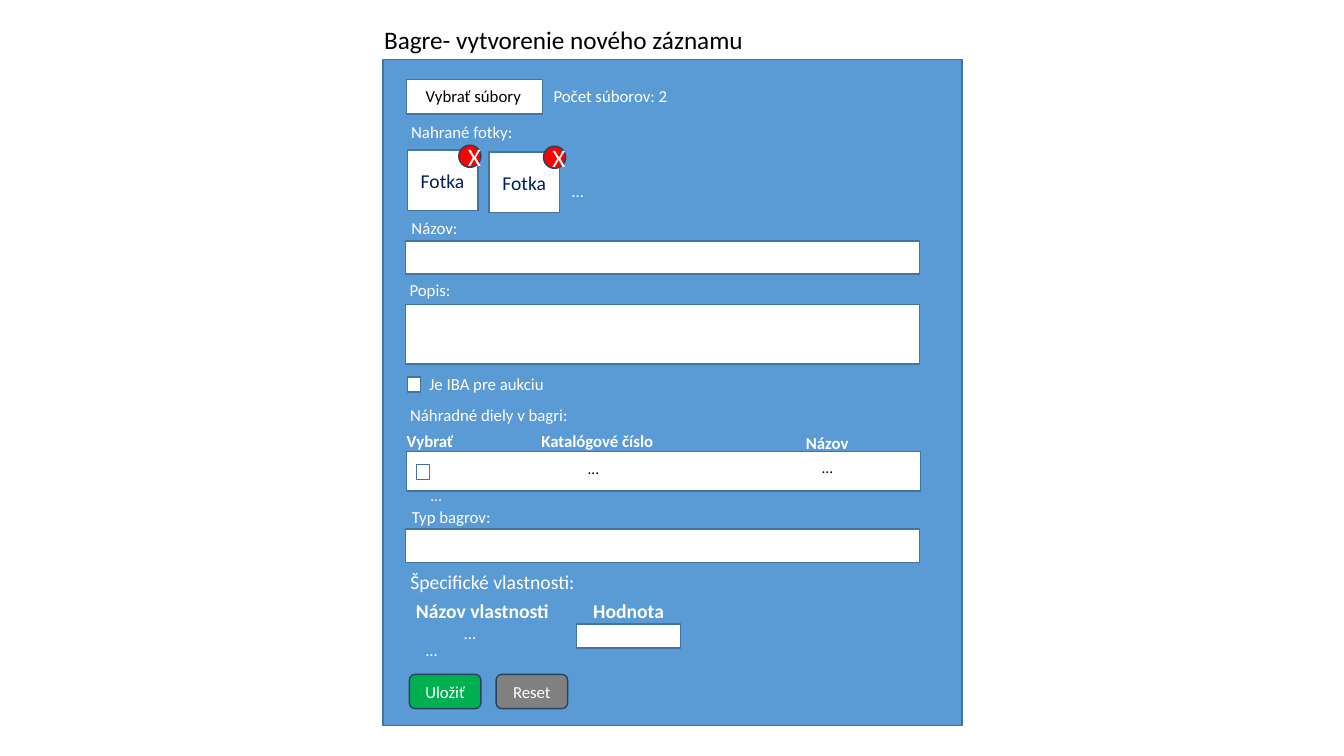
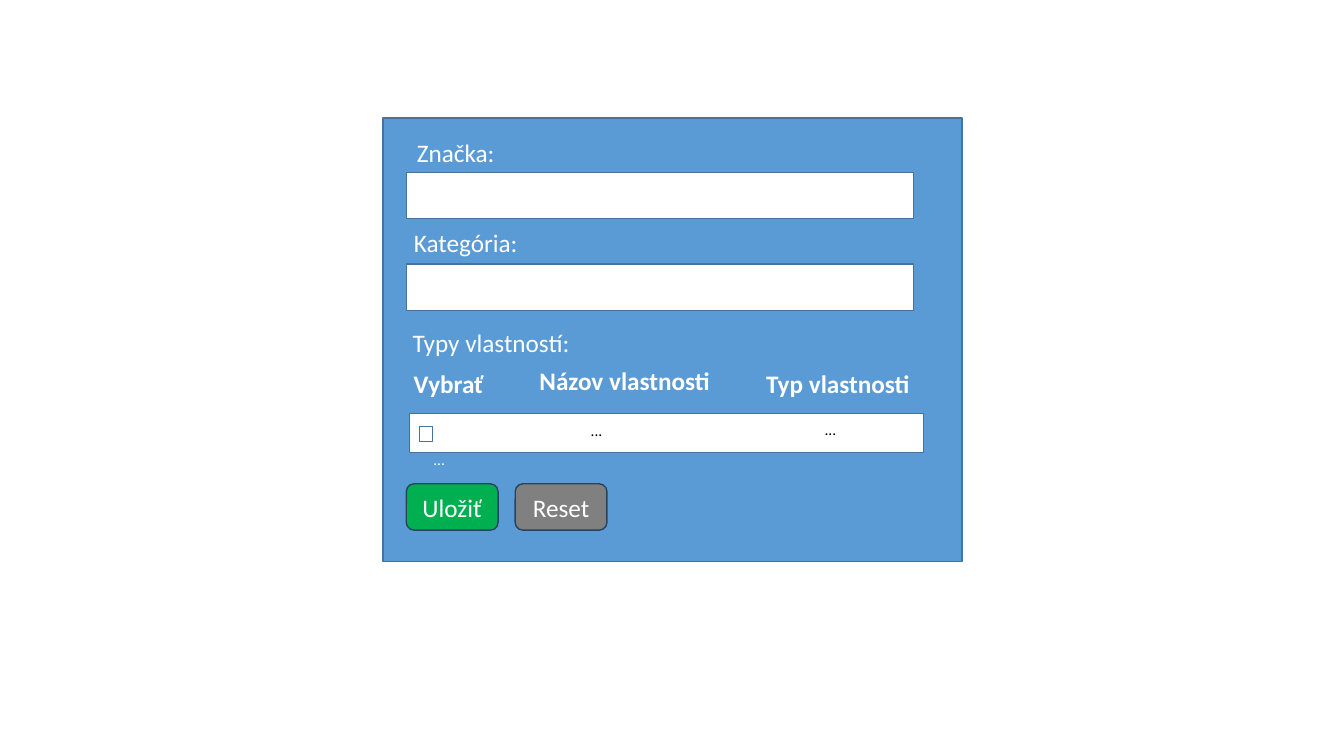
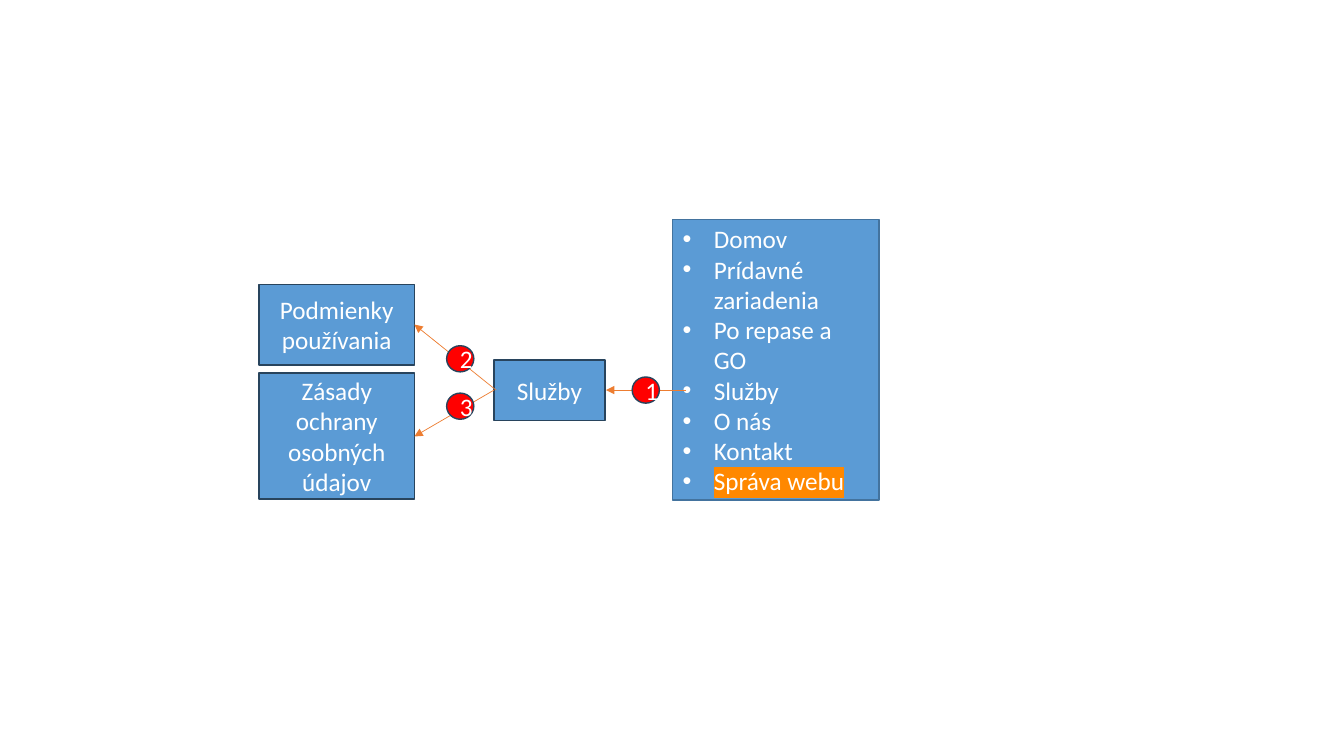
from lxml import etree
from pptx import Presentation
from pptx.dml import color
from pptx.enum import shapes, text
from pptx.oxml import ns
from pptx.util import Pt

COLORS = {
    "blue": "5B9BD5", "edge": "43739E", "dark": "28445D", "white": "FFFFFF",
    "black": "000000", "navy": "002060", "green": "00B050", "gray": "808080",
    "red": "FF0000", "orange": "ED7D31", "highlight": "FF8800",
}
SCALE = 9144
FONT = "Calibri"
LABEL_HEIGHTS = {11: 29, 12: 30, 14: 34, 18: 40}
FRAMES = {
    "label": {"word_wrap": False, "vertical_anchor": text.MSO_ANCHOR.TOP,
              "auto_size": text.MSO_AUTO_SIZE.SHAPE_TO_FIT_TEXT},
    "shape": {"word_wrap": True, "vertical_anchor": text.MSO_ANCHOR.MIDDLE,
              "auto_size": text.MSO_AUTO_SIZE.NONE},
}
PARAGRAPH = {"space_before": Pt(0), "space_after": Pt(0), "line_spacing": 1.0}
LEFT, CENTER = text.PP_ALIGN.LEFT, text.PP_ALIGN.CENTER
RECT = shapes.MSO_SHAPE.RECTANGLE
ROUNDED = shapes.MSO_SHAPE.ROUNDED_RECTANGLE
OVAL = shapes.MSO_SHAPE.OVAL
TITLE_ONLY, TITLE_AND_BODY, BLANK = 5, 1, 6


def assign(target, values):
    for name, value in values.items():
        setattr(target, name, value)


def px(*lengths):
    return [length * SCALE for length in lengths]


def rgb(name):
    return color.RGBColor.from_string(COLORS[name])


class Wireframe:
    """Holds the deck style and the current page, and draws each kind of element."""

    def __init__(self):
        self.deck = Presentation()
        self.deck.slide_width, self.deck.slide_height = px(1333, 750)
        self.page = None

    def new_page(self, layout):
        self.page = self.deck.slides.add_slide(self.deck.slide_layouts[layout])

    def place(self, box, area):
        assign(box, dict(zip(("left", "top", "width", "height"), px(*area))))

    def paint(self, box, fill, edge):
        box.fill.solid()
        box.fill.fore_color.rgb = rgb(fill)
        box.line.color.rgb = rgb(edge)
        box.line.width = Pt(1)

    def set_text(self, box, lines, size, ink, bold=False, align=CENTER, frame="shape"):
        assign(box.text_frame, FRAMES[frame])
        for index, line in enumerate(lines):
            para = box.text_frame.paragraphs[0] if index == 0 else box.text_frame.add_paragraph()
            assign(para, {**PARAGRAPH, "alignment": align})
            span = para.add_run()
            span.text = line
            assign(span.font, {"name": FONT, "size": Pt(size), "bold": bold})
            span.font.color.rgb = rgb(ink)

    def title(self, area, content):
        box = self.page.shapes.title
        self.place(box, area)
        self.set_text(box, [content], 18, "black", align=LEFT, frame="label")

    def bullets(self, area, items, marked):
        heading = self.page.shapes.title.element
        heading.getparent().remove(heading)
        box = self.page.placeholders[1]
        self.place(box, area)
        self.paint(box, "blue", "edge")
        self.set_text(box, items, 18, "white", align=LEFT)
        for para in box.text_frame.paragraphs:
            props = para._p.get_or_add_pPr()
            props.set("marL", str(31 * SCALE))
            props.set("indent", str(-31 * SCALE))
            etree.SubElement(props, ns.qn("a:buFont"), typeface="Arial")
            etree.SubElement(props, ns.qn("a:buChar"), char="•")
            for span in para.runs:
                if span.text == marked:
                    mark = etree.Element(ns.qn("a:highlight"))
                    etree.SubElement(mark, ns.qn("a:srgbClr"), val=COLORS["highlight"])
                    span._r.get_or_add_rPr().find(ns.qn("a:solidFill")).addnext(mark)

    def shape(self, area, fill="white", edge="edge", kind=RECT, content=None, size=18, ink="white"):
        box = self.page.shapes.add_shape(kind, *px(*area))
        box.shadow.inherit = False
        self.paint(box, fill, edge)
        if content:
            self.set_text(box, [content], size, ink)

    def label(self, left, top, width, content, size=12, ink="white", bold=False, align=CENTER):
        box = self.page.shapes.add_textbox(*px(left, top, width, LABEL_HEIGHTS[size]))
        self.set_text(box, [content], size, ink, bold, align, "label")

    def dots(self, left, top, size=12, ink="white"):
        self.label(left, top, 33, "...", size, ink, align=LEFT)

    def checkbox(self, left, top):
        self.shape((left, top, 13, 15))

    def badge(self, area, content):
        self.shape(area, "red", "dark", OVAL, content)

    def buttons(self, left, top, width, height, gap, size):
        for index, (content, fill) in enumerate((("Uložiť", "green"), ("Reset", "gray"))):
            area = (left + index * (width + gap), top, width, height)
            self.shape(area, fill, "dark", ROUNDED, content, size)

    def choice_row(self, left, top, more_top):
        self.shape((left, top, 510, 39))
        self.checkbox(left + 10, top + 13)
        self.dots(left + 170, top + 3, 11, "black")
        self.dots(left + 402, top + 2, 11, "black")
        self.dots(left + 14, more_top, 11)

    def arrow(self, *ends):
        line = self.page.shapes.add_connector(shapes.MSO_CONNECTOR.STRAIGHT, *px(*ends))
        line.line.color.rgb = rgb("orange")
        line.line.width = Pt(0.5)
        etree.SubElement(line.line._get_or_add_ln(), ns.qn("a:tailEnd"), type="triangle")
        etree.SubElement(line.element.spPr, ns.qn("a:effectLst"))


def record_form(frame):
    frame.new_page(TITLE_ONLY)
    frame.title((371, 19, 380, 40), "Bagre- vytvorenie nového záznamu")
    frame.shape((380, 59, 574, 661), "blue")
    frame.shape((403, 79, 135, 34))
    frame.label(412, 80, 115, "Vybrať súbory", ink="black")
    for top, height in ((239, 33), (302, 59), (525, 33)):
        frame.shape((402, top, 510, height))
    for left, top in ((404, 149), (485, 151)):
        frame.shape((left, top, 70, 60), content="Fotka", size=14, ink="navy")
    for left, top in ((455, 144), (539, 145)):
        frame.badge((left, top, 22, 22), "X")
    frame.checkbox(404, 374)
    frame.choice_row(403, 448, 477)
    for left, top, width, content in (
        (538, 80, 135, "Počet súborov: 2"),
        (397, 116, 122, "Nahrané fotky:"),
        (398, 211, 66, "Názov:"),
        (396, 273, 61, "Popis:"),
        (415, 366, 135, "Je IBA pre aukciu"),
        (396, 397, 178, "Náhradné diely v bagri:"),
        (398, 498, 99, "Typ bagrov:"),
    ):
        frame.label(left, top, width, content)
    for left, top, width, content, size in (
        (393, 422, 67, "Vybrať", 12),
        (526, 422, 133, "Katalógové číslo", 12),
        (789, 424, 63, "Názov", 12),
        (402, 589, 153, "Názov vlastnosti", 14),
        (578, 589, 91, "Hodnota", 14),
    ):
        frame.label(left, top, width, content, size, bold=True)
    frame.label(396, 561, 185, "Špecifické vlastnosti:", 14)
    frame.shape((572, 619, 103, 24))
    for left, top in ((557, 174), (450, 613), (412, 630)):
        frame.dots(left, top)
    frame.buttons(406, 669, 71, 34, 15, 12)


def type_form(frame):
    frame.new_page(BLANK)
    frame.shape((380, 117, 574, 440), "blue")
    for top in (171, 262):
        frame.shape((403, top, 503, 46))
    frame.choice_row(406, 410, 442)
    for left, top, width, content, bold in (
        (403, 131, 98, "Značka:", False),
        (400, 221, 124, "Kategória:", False),
        (398, 320, 178, "Typy vlastností:", False),
        (400, 360, 90, "Vybrať", True),
        (524, 358, 191, "Názov vlastnosti", True),
        (749, 360, 164, "Typ vlastnosti", True),
    ):
        frame.label(left, top, width, content, 18, bold=bold)
    frame.buttons(403, 480, 91, 46, 17, 18)


def site_map(frame):
    frame.new_page(TITLE_AND_BODY)
    menu = ["Domov", "Prídavné zariadenia", "Po repase a GO", "Služby", "O nás", "Kontakt", "Správa webu"]
    frame.bullets((667, 218, 205, 278), menu, "Správa webu")
    for area, content in (
        ((490, 357, 110, 60), "Služby"),
        ((257, 370, 154, 125), "Zásady ochrany osobných údajov"),
        ((257, 282, 154, 80), "Podmienky používania"),
    ):
        frame.shape(area, "blue", "dark", content=content)
    for ends in ((680, 387, 601, 387), (492, 387, 411, 322), (490, 387, 411, 433)):
        frame.arrow(*ends)
    for number, (left, top) in enumerate(((627, 374), (443, 343), (443, 390)), 1):
        frame.badge((left, top, 27, 26), str(number))


def main():
    frame = Wireframe()
    for build in (record_form, type_form, site_map):
        build(frame)
    frame.deck.save("out.pptx")


if __name__ == "__main__":
    main()
